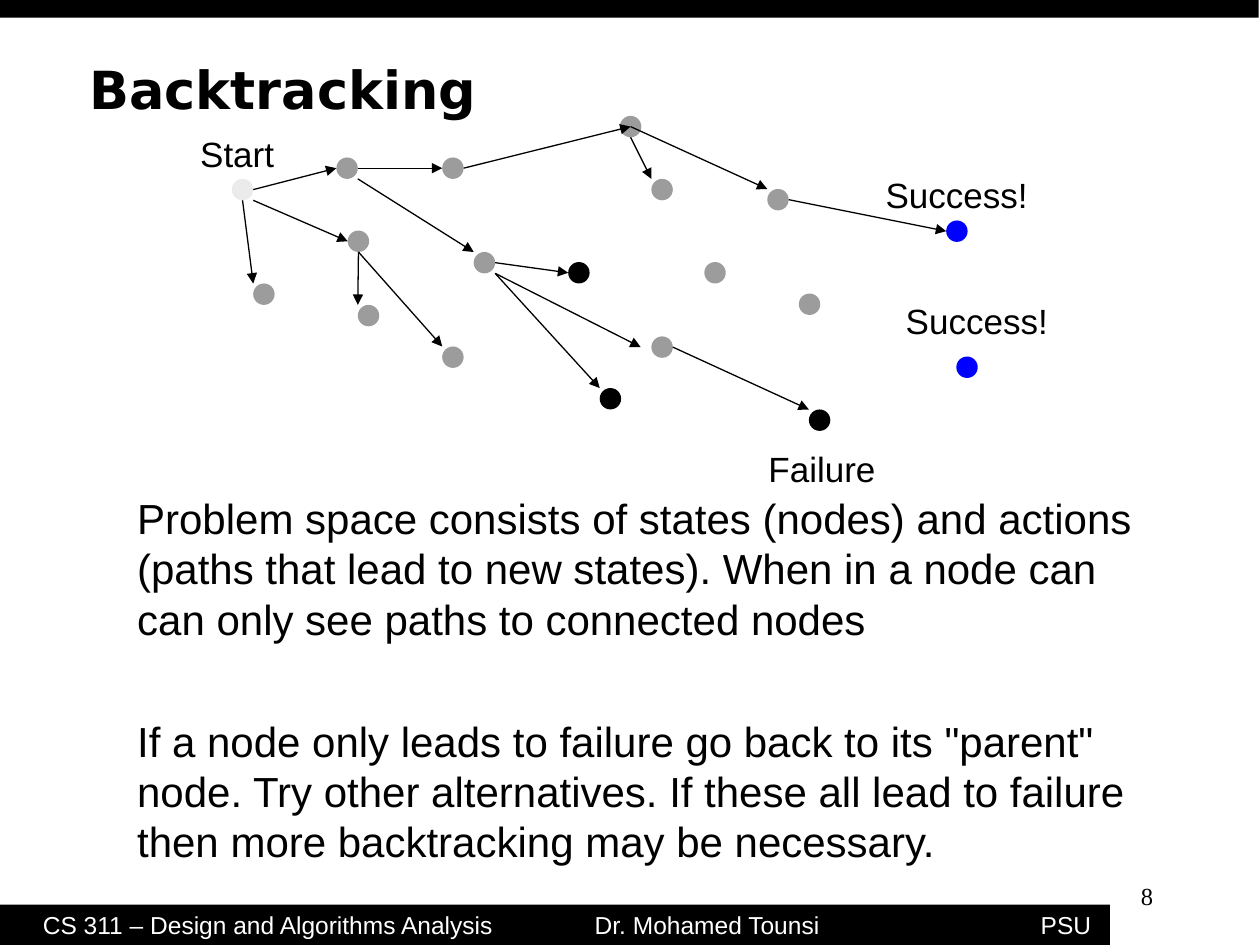
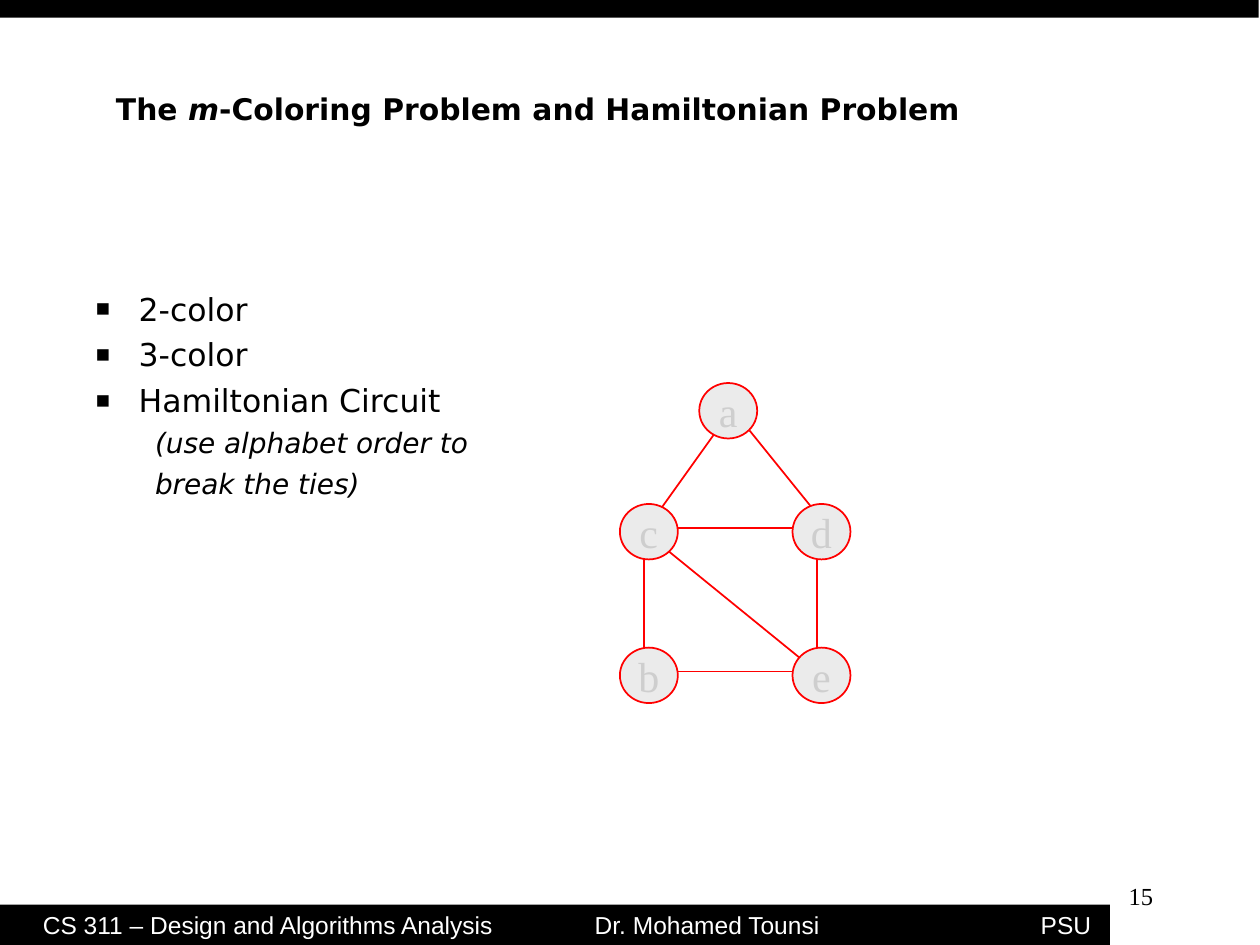
from lxml import etree
from pptx import Presentation, util as u
from pptx.dml.color import RGBColor
from pptx.enum import shapes, text
from pptx.oxml.ns import qn

# ---- Shared look ----
BLACK, WHITE, RED, BLUE = "000000", "FFFFFF", "FF0000", "0000FF"
PALE, GREY, LETTER = "EBEBEB", "9C9C9C", "CECECE"
SANS, HEAD, SERIF = "Arial", "DejaVu Sans", "Times New Roman"
LEFT, CENTER, RIGHT = (text.PP_ALIGN.LEFT, text.PP_ALIGN.CENTER,
                       text.PP_ALIGN.RIGHT)
BANDS = [(0, 7.18, 8.81, 0.32), (0, 0, 9.99, 0.14)]
FOOTERS = [  # text, box, alignment
    ("CS 311 – Design and Algorithms Analysis", (0.25, 7.17, 4.3, 0.32), LEFT),
    ("Dr. Mohamed Tounsi", (4.63, 7.17, 2.2, 0.32), LEFT),
    ("PSU", (6.9, 7.17, 1.85, 0.32), RIGHT),
]

# ---- Slide 1: search tree ----
DOT = 0.17
STATES = {  # name: left, top, colour
    "start": (1.84, 1.42, PALE), "low": (2.01, 2.25, GREY),
    "middle": (2.76, 1.83, GREY), "fork": (3.76, 2, GREY),
    "upper": (3.51, 1.25, GREY), "first": (2.67, 1.25, GREY),
    "middle leaf": (2.84, 2.42, GREY), "peak": (4.92, 0.92, GREY),
    "branch": (5.17, 2.67, GREY), "peak leaf": (5.17, 1.42, GREY),
    "loose 1": (5.59, 2.08, GREY), "fail 1": (4.76, 3.08, BLACK),
    "deep leaf": (3.51, 2.75, GREY), "fail 2": (4.51, 2.08, BLACK),
    "fail 3": (6.42, 3.25, BLACK), "success 1": (7.51, 1.75, BLUE),
    "loose 2": (6.34, 2.33, GREY), "gate": (6.09, 1.5, GREY),
    "success 2": (7.59, 2.83, BLUE),
}
# Points on a node, as fractions of its width and height
R, L, B, C, TL, BR = (1, 0.5), (0, 0.5), (0.5, 1), (0.5, 0.5), (0, 0), (1, 1)
BEFORE = (-0.5, 0.5)
ACTIONS = [
    ("start", R, "first", L), ("start", BR, "middle", L),
    ("start", B, "low", TL), ("first", R, "upper", L),
    ("first", BR, "fork", TL), ("middle", B, "middle leaf", TL),
    ("middle", B, "deep leaf", TL), ("fork", BR, "branch", BEFORE),
    ("fork", BR, "fail 1", TL), ("branch", R, "fail 3", TL),
    ("fork", R, "fail 2", L), ("upper", R, "peak", C),
    ("peak", B, "peak leaf", TL), ("peak", C, "gate", TL),
    ("gate", R, "success 1", L),
]
LABELS = [("Start", 1.49, 1, 0.79), ("Success!", 6.93, 1.33, 1.33),
          ("Success!", 7.09, 2.33, 1.33), ("Failure", 6, 3.5, 1.05)]
EXPLANATION = [
    ["Problem space consists of states (nodes) and actions",
     "(paths that lead to new states). When in a node can",
     "can only see paths to connected nodes"],
    ["If a node only leads to failure go back to its \"parent\"",
     "node. Try other alternatives. If these all lead to failure",
     "then more backtracking may be necessary."],
]

# ---- Slide 2: graph to colour ----
BULLETS = ["2-color", "3-color", "Hamiltonian Circuit"]
HINT = ["(use alphabet order to", "break the ties)"]
VERTEX = (0.46, 0.44)
VERTICES = {"c": (4.92, 4), "d": (6.29, 4), "a": (5.55, 3.04),
            "e": (6.29, 5.14), "b": (4.92, 5.14)}
EAST, WEST, SOUTH, NORTH = (1, 0.43), (0, 0.43), (0.42, 1), (0.42, 0)
EDGES = [
    ("c", EAST, "d", WEST), ("c", SOUTH, "b", NORTH),
    ("b", EAST, "e", WEST), ("d", SOUTH, "e", NORTH),
    ("c", (0.85, 0.86), "e", (0.26, 0.3)),
    ("a", (0.3, 0.86), "c", (0.67, 0.14)),
    ("a", (0.87, 0.86), "d", (0.39, 0.14)),
]


def rgb(color):
    return RGBColor.from_string(color)


def inches(values):
    return [u.Inches(v) for v in values]


def add_run(p, words, size, font, color=BLACK, bold=False, italic=False):
    r = p.add_run()
    r.text = words
    f = r.font
    f.size, f.name, f.bold, f.italic = u.Pt(size), font, bold, italic
    f.color.rgb = rgb(color)


def add_shape(where, kind, box, fill, line=None):
    sp = where.add_shape(kind, *inches(box))
    sp.shadow.inherit = False
    sp.fill.solid()
    sp.fill.fore_color.rgb = rgb(fill)
    if line:
        sp.line.color.rgb = rgb(line)
        sp.line.width = u.Pt(1)
    else:
        sp.line.fill.background()
    return sp


def add_text(s, box, inset=0.1, wrap=True):
    tf = s.shapes.add_textbox(*inches(box)).text_frame
    tf.word_wrap = wrap
    tf.margin_left = tf.margin_right = u.Inches(inset)
    return tf


def add_link(where, nodes, size, link, color, width, arrow=False):
    a, a_at, b, b_at = link
    ends = [nodes[n][i] + at[i] * size[i]
            for n, at in ((a, a_at), (b, b_at)) for i in (0, 1)]
    cx = where.add_connector(shapes.MSO_CONNECTOR.STRAIGHT, *inches(ends))
    cx.line.color.rgb = rgb(color)
    cx.line.width = u.Pt(width)
    if arrow:
        etree.SubElement(cx.line._get_or_add_ln(), qn("a:tailEnd"),
                         type="triangle")
    etree.SubElement(cx._element.spPr, qn("a:effectLst"))


def place(ph, box):
    ph.left, ph.top, ph.width, ph.height = inches(box)
    tf = ph.text_frame
    tf.auto_size = text.MSO_AUTO_SIZE.NONE
    tf.vertical_anchor = text.MSO_ANCHOR.TOP
    tf.margin_left = tf.margin_right = u.Inches(0.09)
    return tf


def new_slide(prs, layout, number, title, title_box, size):
    """Slide with bands, footers, page number and title (words, italic)."""
    s = prs.slides.add_slide(prs.slide_layouts[layout])
    for band in BANDS:
        add_shape(s.shapes, shapes.MSO_SHAPE.RECTANGLE, band, BLACK)
    for words, box, align in FOOTERS:
        p = add_text(s, box, 0.09).paragraphs[0]
        p.alignment = align
        add_run(p, words, 14, SANS, WHITE)
    tf = add_text(s, (7.17, 6.84, 2.08, 0.53))
    tf.vertical_anchor = text.MSO_ANCHOR.MIDDLE
    tf.paragraphs[0].alignment = RIGHT
    add_run(tf.paragraphs[0], number, 14, SERIF)
    p = place(s.shapes.title, title_box).paragraphs[0]
    p.alignment = LEFT
    for words, italic in title:
        add_run(p, words, size, HEAD, bold=True, italic=italic)
    return s


def set_bullet(p, margin, indent, char=None):
    pPr = p._p.get_or_add_pPr()
    pPr.set("marL", str(u.Inches(margin)))
    pPr.set("indent", str(u.Inches(indent)))
    if not char:
        etree.SubElement(pPr, qn("a:buNone"))
        return
    color = etree.SubElement(pPr, qn("a:buClr"))
    etree.SubElement(color, qn("a:srgbClr"), val=BLACK)
    etree.SubElement(pPr, qn("a:buSzPct"), val="75000")
    etree.SubElement(pPr, qn("a:buChar"), char=char)


def backtracking_slide(prs):
    s = new_slide(prs, 5, "8", [("Backtracking", False)],
                  (0.62, 0.4, 8.92, 1.21), 30)
    for left, top, color in STATES.values():
        add_shape(s.shapes, shapes.MSO_SHAPE.OVAL, (left, top, DOT, DOT), color)
    for action in ACTIONS:
        add_link(s.shapes, STATES, (DOT, DOT), action, BLACK, 0.75, arrow=True)
    for words, left, top, width in LABELS:
        p = add_text(s, (left, top, width, 0.44), wrap=False).paragraphs[0]
        p.line_spacing = u.Pt(24)
        add_run(p, words, 20, SANS)
    # Explanation below the tree
    tf = add_text(s, (0.99, 3.86, 8.09, 3.07), wrap=False)
    for i, lines in enumerate(EXPLANATION):
        p = tf.add_paragraph() if i else tf.paragraphs[0]
        p.line_spacing = u.Pt(28.8)
        p.space_before = u.Pt(40.8 if i else 0)
        for j, line in enumerate(lines):
            if j:
                p.add_line_break()
            add_run(p, line, 24, SANS)


def coloring_slide(prs):
    title = [("The ", False), ("m", True),
             ("-Coloring Problem and Hamiltonian Problem", False)]
    s = new_slide(prs, 1, "15", title, (0.83, 0.67, 8.95, 0.82), 17)
    # Task list
    tf = place(s.placeholders[1], (0.67, 2.25, 9.08, 4.45))
    for i, words in enumerate(BULLETS + HINT):
        p = tf.add_paragraph() if i else tf.paragraphs[0]
        if i < len(BULLETS):
            p.space_before = u.Pt(4.5)
            set_bullet(p, 0.34, -0.34, "■")
            add_run(p, words, 18, HEAD)
        else:
            p.level = 1
            p.space_before = u.Pt(4)
            set_bullet(p, 0.74, -0.27)
            add_run(p, words, 16, HEAD, italic=True)
    # Graph
    graph = s.shapes.add_group_shape().shapes
    for edge in EDGES:
        add_link(graph, VERTICES, VERTEX, edge, RED, 1)
    for name, at in VERTICES.items():
        sp = add_shape(graph, shapes.MSO_SHAPE.OVAL, at + VERTEX, PALE, RED)
        tf = sp.text_frame
        tf.word_wrap = False
        tf.vertical_anchor = text.MSO_ANCHOR.MIDDLE
        tf.paragraphs[0].alignment = CENTER
        add_run(tf.paragraphs[0], name, 24, SERIF, LETTER)


def main():
    prs = Presentation()
    prs.slide_width, prs.slide_height = inches((10, 7.5))
    backtracking_slide(prs)
    coloring_slide(prs)
    prs.save("out.pptx")


if __name__ == "__main__":
    main()
